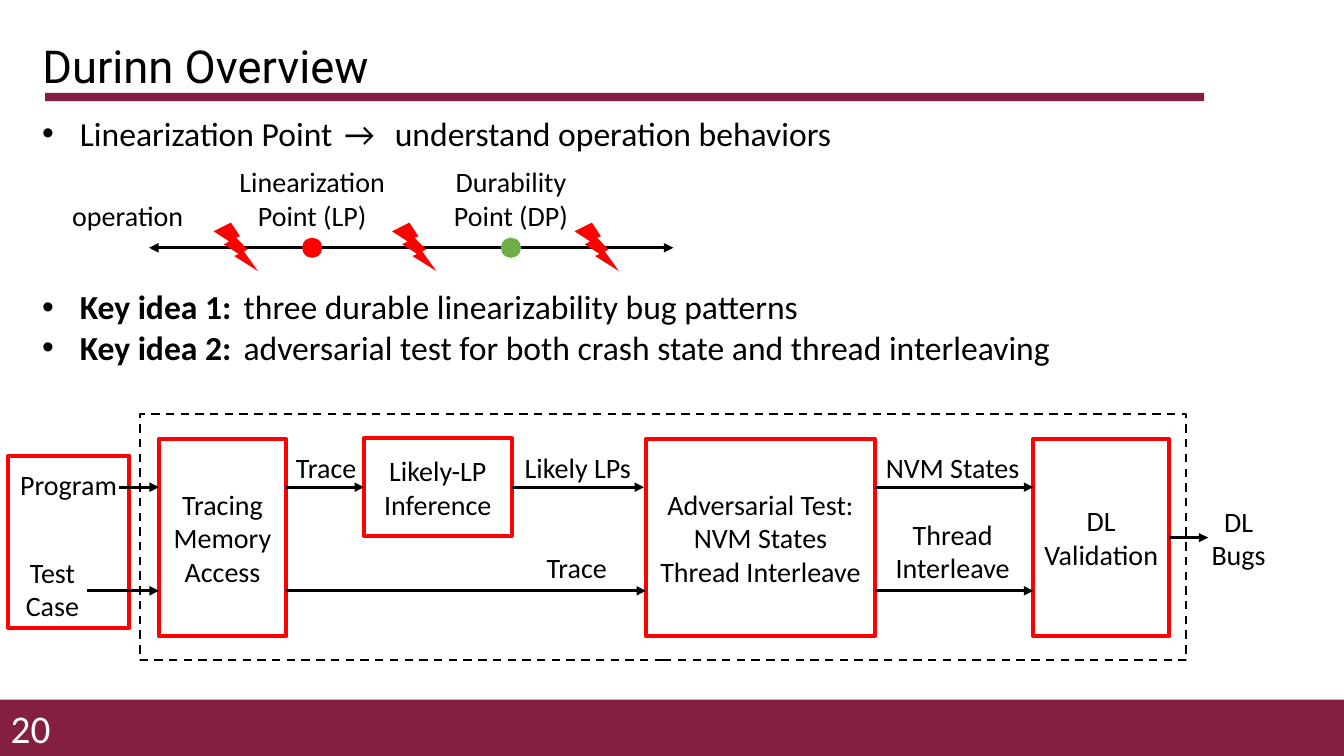
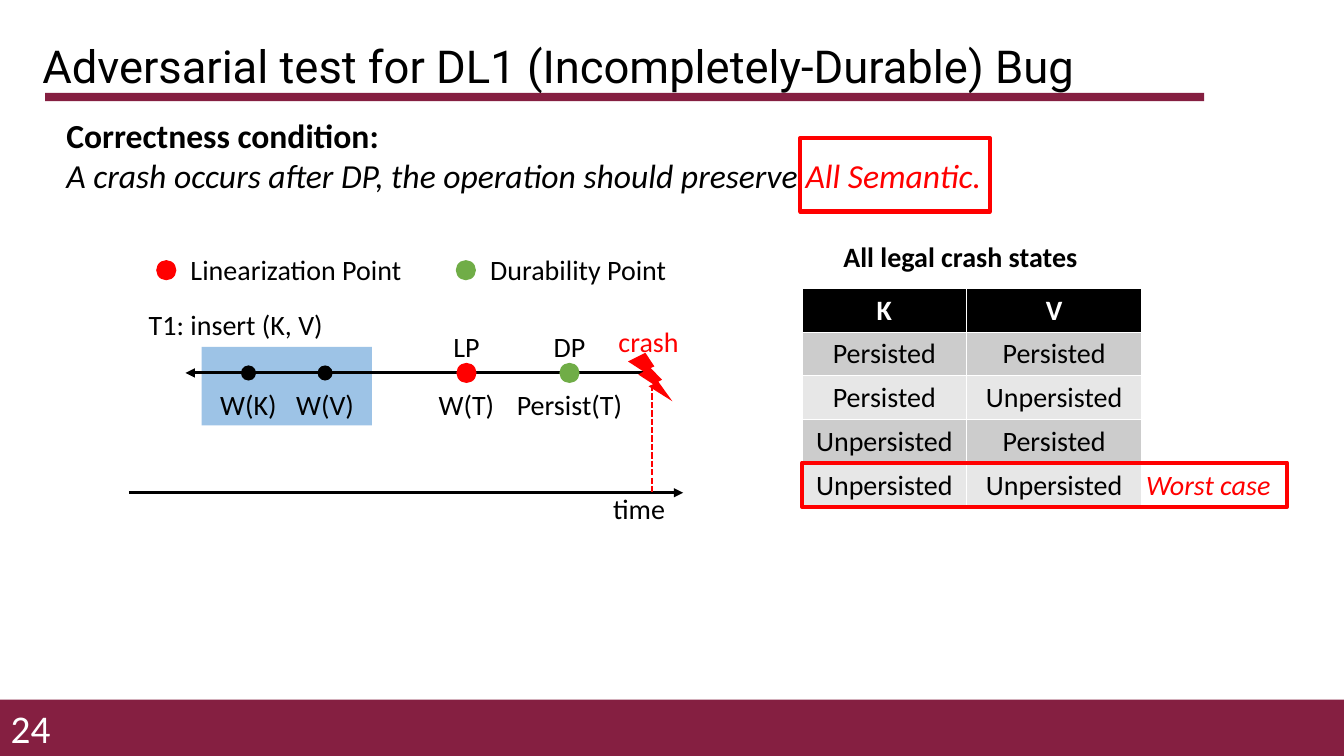
from lxml.etree import SubElement
from pptx import Presentation
from pptx.dml.color import RGBColor
from pptx.enum.dml import MSO_LINE
from pptx.enum.shapes import MSO_CONNECTOR, MSO_SHAPE
from pptx.enum.text import MSO_ANCHOR, MSO_AUTO_SIZE, PP_ALIGN
from pptx.oxml.ns import qn
from pptx.util import Pt

MAROON = RGBColor(0x85, 0x1F, 0x41)
BLACK = RGBColor(0, 0, 0)
WHITE = RGBColor(0xFF, 0xFF, 0xFF)
RED = RGBColor(0xFF, 0, 0)
GREEN = RGBColor(0x70, 0xAD, 0x47)
BLUE = RGBColor(0x9D, 0xC3, 0xE6)
DARK_GREY = RGBColor(0xCC, 0xCC, 0xCC)
LIGHT_GREY = RGBColor(0xE7, 0xE7, 0xE7)
BODY_FONT, TITLE_FONT = "Calibri", "Roboto"
LABEL_HEIGHT = 31.7


def style_span(span, size=20, colour=BLACK, bold=False, italic=False, name=BODY_FONT):
    """Format one run."""
    font = span.font
    font.name, font.size, font.bold, font.italic = name, Pt(size), bold, italic
    font.color.rgb = colour


def set_text(frame, text, align=PP_ALIGN.CENTER, **style):
    """Write plain text into a frame and format all of it."""
    frame.text = text
    frame.word_wrap = True
    for para in frame.paragraphs:
        para.alignment = align
        for span in para.runs:
            style_span(span, **style)


def add_label(page, text, left, top, width, height=LABEL_HEIGHT, **style):
    """Add a text box without side margins."""
    frame = page.shapes.add_textbox(Pt(left), Pt(top), Pt(width), Pt(height)).text_frame
    frame.margin_left = frame.margin_right = 0
    set_text(frame, text, **style)
    return frame


def add_body(page, box, paragraphs, bullets=False):
    """Add paragraphs made of (text, style) spans."""
    frame = page.shapes.add_textbox(*map(Pt, box)).text_frame
    frame.word_wrap = True
    for number, spans in enumerate(paragraphs):
        para = frame.add_paragraph() if number else frame.paragraphs[0]
        if bullets:
            props = para._p.get_or_add_pPr()
            props.set("marL", str(Pt(27)))
            props.set("indent", str(-Pt(27)))
            SubElement(props, qn("a:buFont")).set("typeface", "Arial")
            SubElement(props, qn("a:buChar")).set("char", "•")
        for text, style in spans:
            span = para.add_run()
            span.text = text
            style_span(span, size=24, **style)


def add_shape(page, kind, left, top, width, height, fill=None, line=None, weight=3):
    """Add a flat preset shape."""
    shape = page.shapes.add_shape(kind, Pt(left), Pt(top), Pt(width), Pt(height))
    shape.shadow.inherit = False
    if fill is None:
        shape.fill.background()
    else:
        shape.fill.solid()
        shape.fill.fore_color.rgb = fill
    if line is None:
        shape.line.fill.background()
    else:
        shape.line.color.rgb = line
        shape.line.width = Pt(weight)
    return shape


def add_dot(page, x, y, colour, size=14.4):
    """Add a dot centred on a point."""
    add_shape(page, MSO_SHAPE.OVAL, x - size / 2, y - size / 2, size, size, colour)


def add_bolt(page, left, top):
    """Add a red crash bolt."""
    add_shape(page, MSO_SHAPE.LIGHTNING_BOLT, left, top, 31.7, 34.6, RED)


def add_line(page, x1, y1, x2, y2, ends=("tailEnd",), colour=BLACK, weight=2.25, dash=None):
    """Add a straight line with arrowheads at the named ends."""
    line = page.shapes.add_connector(MSO_CONNECTOR.STRAIGHT, Pt(x1), Pt(y1), Pt(x2), Pt(y2))
    line.line.color.rgb = colour
    line.line.width = Pt(weight)
    if dash:
        line.line.dash_style = dash
    for end in ends:
        SubElement(line.line._get_or_add_ln(), qn(f"a:{end}")).set("type", "triangle")
    SubElement(line._element.spPr, qn("a:effectLst"))
    return line


def add_page(deck, title, number):
    """Add a slide with its title, rule, footer band and number."""
    page = deck.slides.add_slide(deck.slide_layouts[5])
    add_shape(page, MSO_SHAPE.RECTANGLE, 0, 499.7, 960, 40.3, MAROON)
    add_shape(page, MSO_SHAPE.RECTANGLE, 32.2, 66.4, 828, 5.8, MAROON)
    holder = page.shapes.title
    holder.left, holder.top, holder.width, holder.height = map(Pt, (23, 28.8, 828, 40.3))
    frame = holder.text_frame
    set_text(frame, title, PP_ALIGN.LEFT, size=32.4, name=TITLE_FONT)
    frame.auto_size = MSO_AUTO_SIZE.NONE
    frame.vertical_anchor = MSO_ANCHOR.MIDDLE
    frame.paragraphs[0].line_spacing = 0.9
    footer = add_label(page, str(number), 0, 505.4, 36, 28.8,
                       align=PP_ALIGN.RIGHT, size=28, colour=WHITE)
    footer.vertical_anchor = MSO_ANCHOR.MIDDLE
    return page


def add_operation(page, left, top):
    """Draw one operation with its two points and the crash bolts."""
    axis = top + 63
    add_line(page, left + 63.5, axis, left + 438, axis, ("headEnd", "tailEnd"))
    add_label(page, "operation", left, top + 24, 96.5)
    for text, x, width, colour in (("Linearization Point (LP)", 180, 122, RED),
                                   ("Durability Point (DP)", 322, 103, GREEN)):
        add_dot(page, left + x, axis, colour)
        add_label(page, text, left + x - width / 2, top, width, 55.4)
    for x in (109.6, 237, 367.4):
        add_bolt(page, left + x, top + 45)


def add_stage(page, text, left, top, width, height):
    """Add one red framed stage of the pipeline."""
    stage = add_shape(page, MSO_SHAPE.RECTANGLE, left, top, width, height, WHITE, RED)
    frame = stage.text_frame
    frame.margin_left = frame.margin_right = 0
    frame.vertical_anchor = MSO_ANCHOR.MIDDLE
    set_text(frame, text)
    return stage


def add_pipeline(page, left, top):
    """Draw the testing pipeline from program to bugs."""
    upper, middle, lower = 52, 88, 126
    add_shape(page, MSO_SHAPE.RECTANGLE, left, top + 29.5, 86.4, 123, line=RED)
    stages = [add_stage(page, text, left + x, top + y, width, height)
              for text, x, y, width, height in (
                  ("Tracing\nMemory\nAccess", 107.5, 17.5, 91, 141),
                  ("Likely-LP Inference", 254, 17, 105.5, 70),
                  ("Adversarial Test:\nNVM States\nThread Interleave", 455.5, 17.5, 163.5, 141),
                  ("DL\nValidation", 732, 17.5, 97.2, 141))]
    inference, validation = stages[1], stages[3]
    arrows = [add_line(page, left + x1, top + y, left + x2, top + y)
              for x1, x2, y in ((198.5, 254, upper), (359.5, 454, upper), (829, 857, middle),
                                (79, 107.5, upper), (56.5, 107.5, lower),
                                (198.5, 455.5, lower), (619, 732, upper), (619, 732, lower))]
    arrows[0].end_connect(inference, 1)
    arrows[1].begin_connect(inference, 3)
    arrows[2].begin_connect(validation, 3)
    for text, x, y, width in (("Program", 1, 34.5, 84), ("Test\nCase", 5, 97, 53),
                              ("Trace", 198, 22, 58), ("Likely LPs", 361, 22, 91.5),
                              ("Trace", 377, 94, 58), ("NVM States", 619, 22, 111),
                              ("Thread\nInterleave", 626, 70, 97),
                              ("DL\nBugs", 852, 60.5, 53.5)):
        add_label(page, text, left + x, top + y, width)
    border = add_shape(page, MSO_SHAPE.RECTANGLE, left + 94, top, 747.5, 175.7,
                       line=BLACK, weight=1.5)
    border.line.dash_style = MSO_LINE.DASH


def add_legend(page, left, top):
    """Explain the two dot colours."""
    entries = (("Linearization Point", RED), ("Durability Point", GREEN))
    for column, (text, colour) in enumerate(entries):
        x = left + column * 214
        add_dot(page, x + 7.2, top + 16, colour)
        add_label(page, text, x + 24.5, top, 160, align=PP_ALIGN.LEFT)


def add_timeline(page, left, top):
    """Draw the insert operation and its crash over the time axis."""
    axis, floor, crash = top + 50.4, top + 136, left + 374
    add_shape(page, MSO_SHAPE.RECTANGLE, left + 52, top + 31.7, 121.7, 56.2, BLUE)
    add_line(page, left, floor, left + 396, floor)
    add_label(page, "time", left + 335, floor - 4.2, 59)
    add_label(page, "T1: insert (K, V)", left + 4.5, top, 144)
    add_line(page, left + 40.5, axis, crash, axis, ("headEnd",))
    add_line(page, crash, axis + 2.6, crash, floor, (), RED, 1.5, MSO_LINE.SQUARE_DOT)
    add_bolt(page, crash - 17.4, top + 36)
    add_label(page, "crash", crash - 32.6, top + 12, 59.8, colour=RED)
    for above, below, x, size, colour in (("", "W(K)", 85.5, 10.8, BLACK),
                                          ("", "W(V)", 140.2, 10.8, BLACK),
                                          ("LP", "W(T)", 241.2, 14.4, RED),
                                          ("DP", "Persist(T)", 314.8, 14.4, GREEN)):
        add_dot(page, left + x, axis, colour, size)
        if above:
            add_label(page, above, left + x - 20, top + 15.6, 40)
        add_label(page, below, left + x - 46, top + 57.6, 92)


def add_crash_states(page, left, top):
    """List the legal crash states and mark the worst one."""
    yes, no = "Persisted", "Unpersisted"
    rows = (("K", "V"), (yes, yes), (yes, no), (no, yes), (no, no))
    add_label(page, "All legal crash states", left + 14, top, 198, bold=True)
    table = page.shapes.add_table(5, 2, Pt(left), Pt(top + 38.2), Pt(242.6), Pt(156)).table
    for column, width in zip(table.columns, (117.4, 125.2)):
        column.width = Pt(width)
    for r, row in enumerate(rows):
        header = r == 0
        for c, text in enumerate(row):
            cell = table.cell(r, c)
            cell.fill.solid()
            cell.fill.fore_color.rgb = BLACK if header else DARK_GREY if r % 2 else LIGHT_GREY
            set_text(cell.text_frame, text, colour=WHITE if header else BLACK, bold=header)
    worst = top + 162.7
    add_shape(page, MSO_SHAPE.RECTANGLE, left, worst, 346.3, LABEL_HEIGHT, line=RED)
    add_label(page, "Worst case", left + 234, worst, 112.3, colour=RED, italic=True)


def build_overview(deck):
    """Build the overview slide."""
    page = add_page(deck, "Durinn Overview", 20)
    add_body(page, (23, 77, 914, 36),
             [[("Linearization Point\t→\tunderstand operation behaviors", {})]], bullets=True)
    add_operation(page, 43, 114)
    ideas = ("three durable linearizability bug patterns",
             "adversarial test for both crash state and thread interleaving")
    add_body(page, (23, 201, 914, 65.5),
             [[(f"Key idea {number}:", {"bold": True}), (f"\t{idea}", {})]
              for number, idea in enumerate(ideas, 1)], bullets=True)
    add_pipeline(page, 6, 296)


def build_adversarial_test(deck):
    """Build the slide on the incompletely-durable bug."""
    page = add_page(deck, "Adversarial test for DL1 (Incompletely-Durable) Bug", 24)
    add_body(page, (40.3, 78.5, 879, 65.5), [
        [("Correctness condition:", {"bold": True})],
        [("A crash occurs after DP, the operation should preserve ", {"italic": True}),
         ("All Semantic.", {"italic": True, "colour": RED})]])
    add_legend(page, 111.6, 177)
    add_timeline(page, 92, 216)
    add_crash_states(page, 573, 167.8)
    add_shape(page, MSO_SHAPE.RECTANGLE, 571.7, 98.6, 135.4, 52.6, line=RED)


def main():
    """Build and save the deck."""
    deck = Presentation()
    deck.slide_width, deck.slide_height = Pt(960), Pt(540)
    build_overview(deck)
    build_adversarial_test(deck)
    deck.save("out.pptx")


if __name__ == "__main__":
    main()
